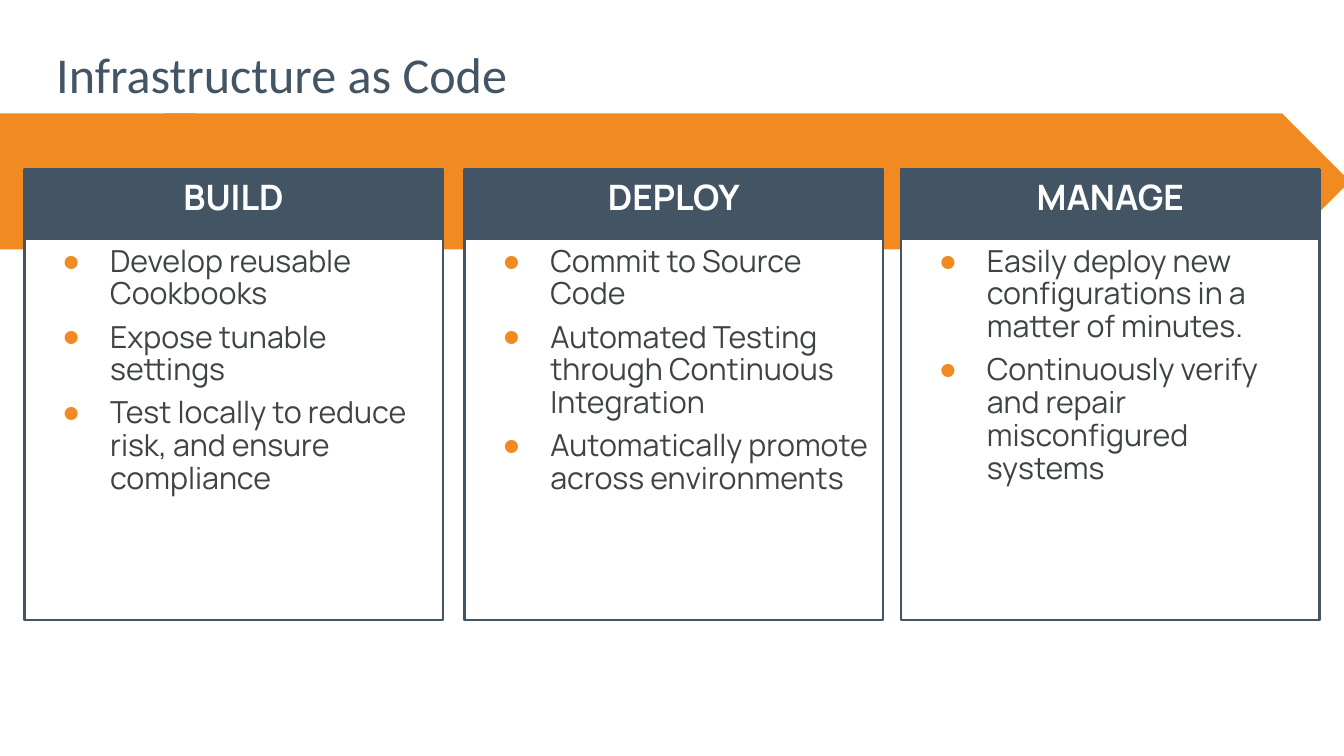
import pptx
import pptx.util
import pptx.dml.color
import pptx.enum.shapes
import pptx.enum.text
import pptx.oxml
import pptx.oxml.ns
from pptx.util import Cm

COLORS = {"orange": "F18B21", "slate": "435464", "white": "FFFFFF", "text": "3E4346"}
SHAPES = pptx.enum.shapes.MSO_SHAPE
PANELS = [
    (0.74, "BUILD", ["Develop reusable Cookbooks",
                     "Expose tunable settings",
                     "Test locally to reduce risk, and ensure compliance"]),
    (14.05, "DEPLOY", ["Commit to Source Code",
                       "Automated Testing through Continuous Integration",
                       "Automatically promote across environments"]),
    (27.25, "MANAGE", ["Easily deploy new configurations in a matter of minutes.",
                       "Continuously verify and repair misconfigured systems"]),
]


def rgb(name):
    return pptx.dml.color.RGBColor.from_string(COLORS[name])


def add_block(s, kind, box, fill, line=None):
    sp = s.shapes.add_shape(kind, *map(Cm, box))
    sp.shadow.inherit = False
    sp.fill.solid()
    sp.fill.fore_color.rgb = rgb(fill)
    if line:
        sp.line.color.rgb = rgb(line)
        sp.line.width = pptx.util.Pt(2)
    else:
        sp.line.fill.background()
    return sp


def add_bullet(p):
    pPr = p._p.get_or_add_pPr()
    pPr.set("marL", str(Cm(2.26)))
    pPr.set("indent", str(Cm(-1.45)))
    ns = pptx.oxml.ns.nsdecls("a")
    for xml in (f'<a:buClr {ns}><a:srgbClr val="{COLORS["orange"]}"/></a:buClr>',
                f'<a:buFont {ns} typeface="Arial"/>',
                f'<a:buChar {ns} char="●"/>'):
        pPr.append(pptx.oxml.parse_xml(xml))


def add_text(s, box, lines, size, font, color, inset=(0.33, 0.18),
             bold=False, centred=False, bullets=False):
    tf = s.shapes.add_textbox(*map(Cm, box)).text_frame
    tf.word_wrap = True
    tf.margin_left = tf.margin_right = Cm(inset[0])
    tf.margin_top = tf.margin_bottom = Cm(inset[1])
    for i, line in enumerate(lines):
        p = tf.add_paragraph() if i else tf.paragraphs[0]
        p.line_spacing = 0.9
        if i:
            p.space_before = pptx.util.Pt(8.9)
        if centred:
            p.alignment = pptx.enum.text.PP_ALIGN.CENTER
        if bullets:
            add_bullet(p)
        r = p.add_run()
        r.text = line
        r.font.size = pptx.util.Pt(size)
        r.font.name = font
        r.font.bold = bold
        r.font.color.rgb = rgb(color)


def add_arrow_band(s, x, y, w, h):
    add_block(s, SHAPES.RECTANGLE, (x, y, 5.92, h), "orange")
    arrow = add_block(s, SHAPES.LEFT_RIGHT_ARROW, (x + 2.92, y, w - 2.92, h), "orange")
    arrow.adjustments[0] = 1
    arrow.adjustments[1] = 0.5


def add_panel(s, x, y, w, h, heading, items):
    add_block(s, SHAPES.RECTANGLE, (x, y, w, h), "white", "slate")
    # Bulleted list
    add_text(s, (x, y + 2.13, w, 6.81), items, 26, "Manrope", "text", bullets=True)
    # Heading bar
    add_block(s, SHAPES.RECTANGLE, (x, y, w, 2.08), "slate", "slate")
    add_text(s, (x + 0.54, y + 0.15, w - 1.08, 1.75), [heading], 30, "Manrope",
             "white", bold=True, centred=True)


def main():
    prs = pptx.Presentation()
    prs.slide_width, prs.slide_height = Cm(40.64), Cm(22.86)
    s = prs.slides.add_slide(prs.slide_layouts[6])
    # Title
    add_text(s, (1.7, 1.52, 37.26, 1.7), ["Infrastructure as Code"], 43,
             "Calibri", "slate", inset=(0, 0))
    # Arrow behind the panels
    add_arrow_band(s, 0, 3.43, 40.82, 4.11)
    # Three stages
    for x, heading, items in PANELS:
        add_panel(s, x, 5.13, 12.65, 13.61, heading, items)
    prs.save("out.pptx")


if __name__ == "__main__":
    main()
